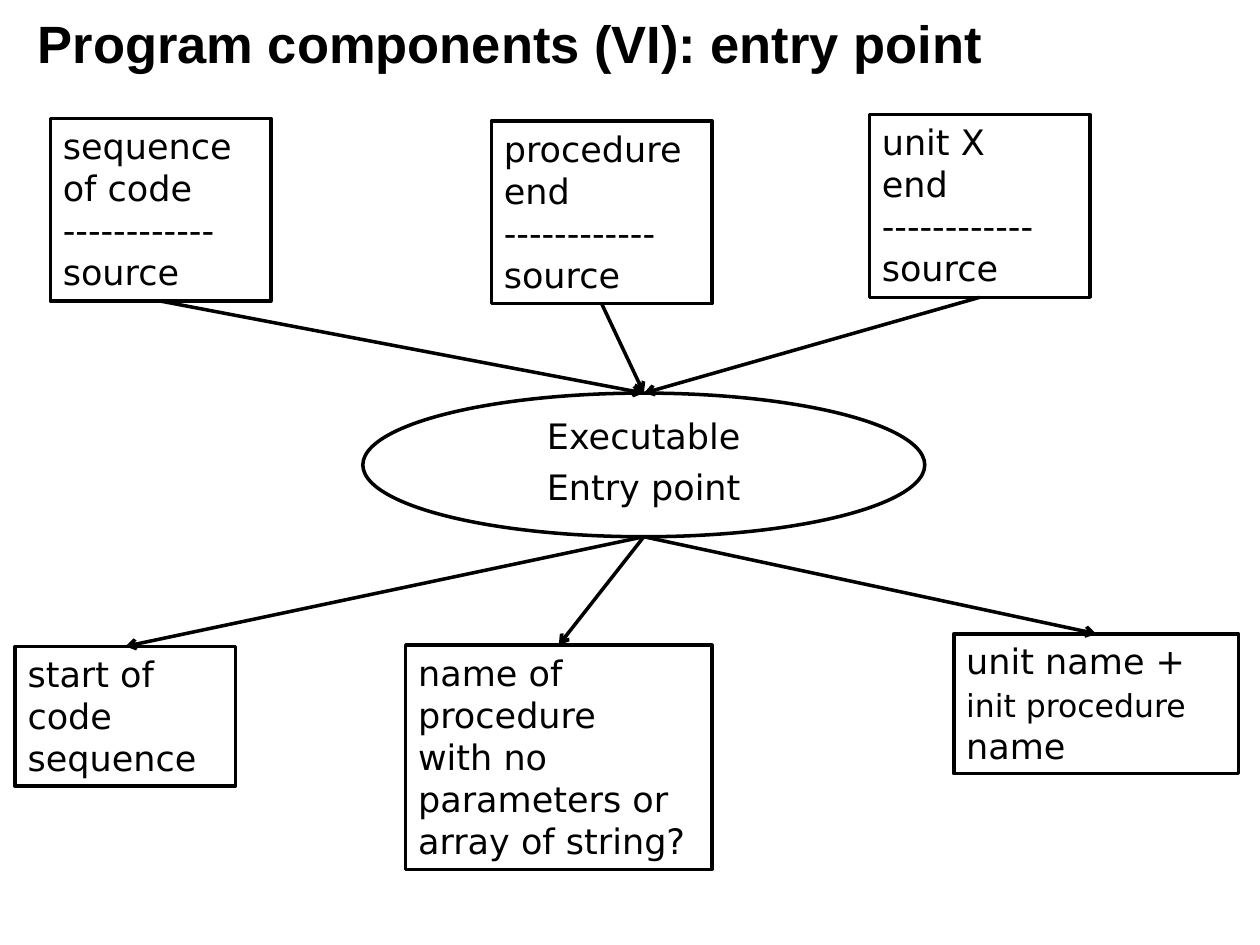
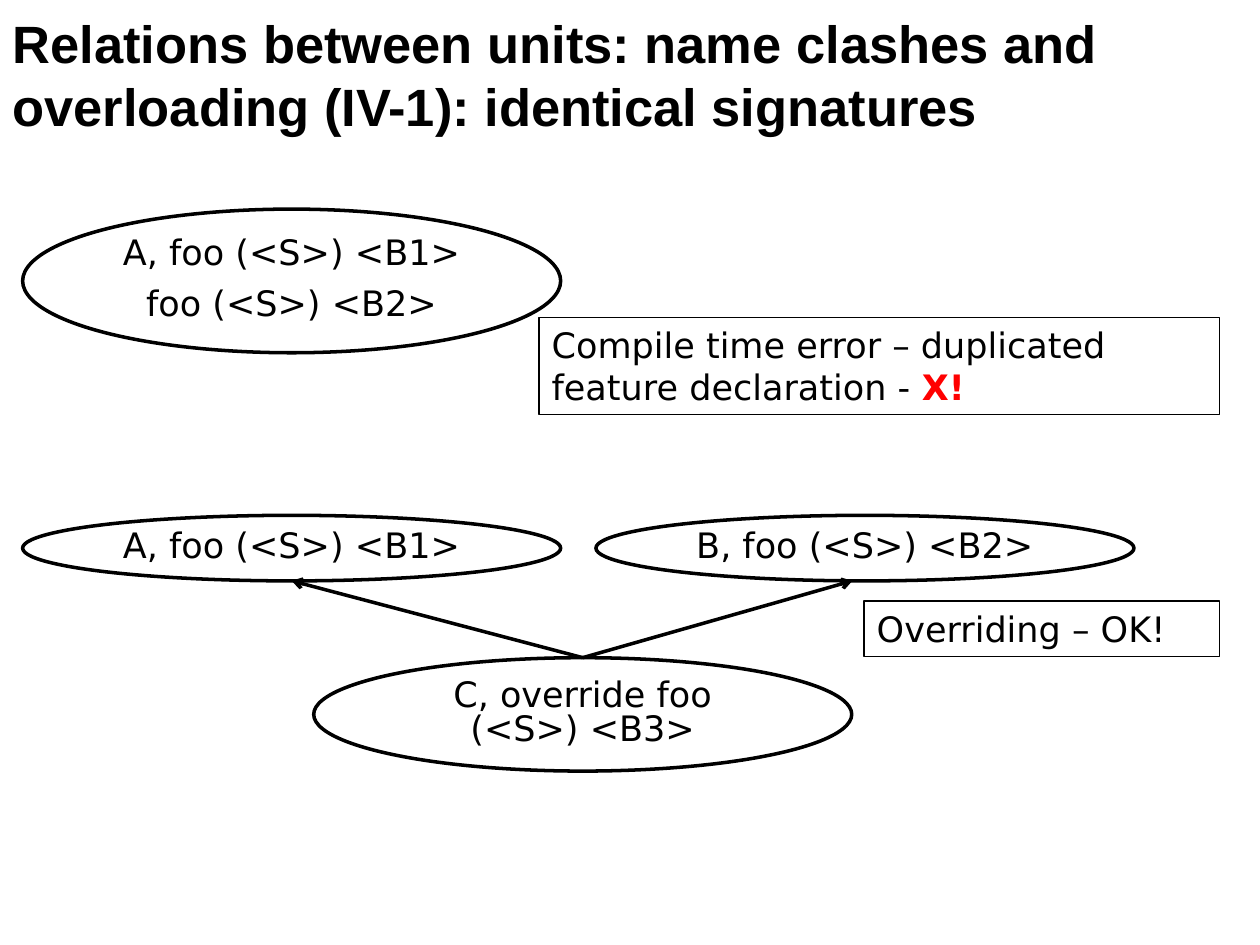
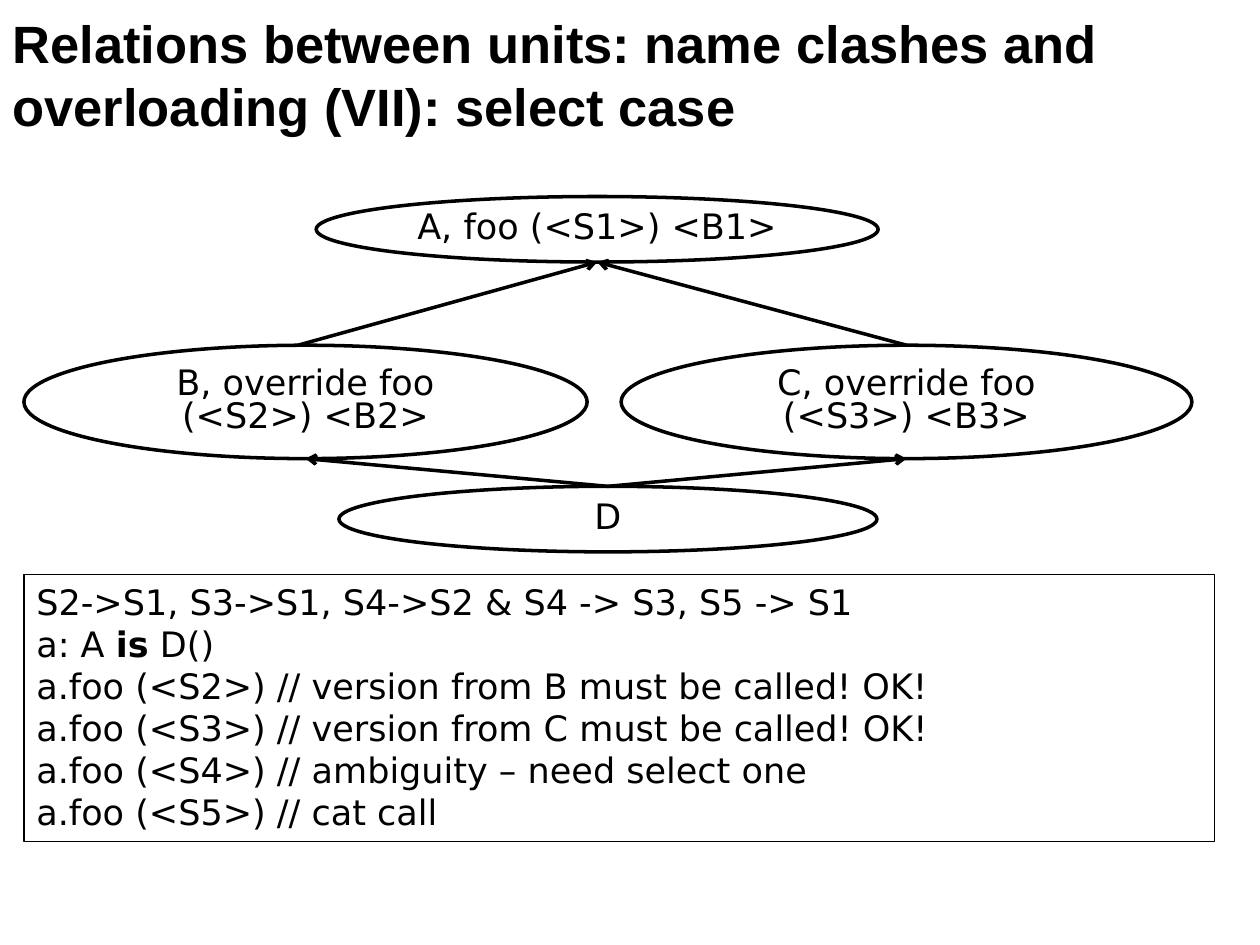
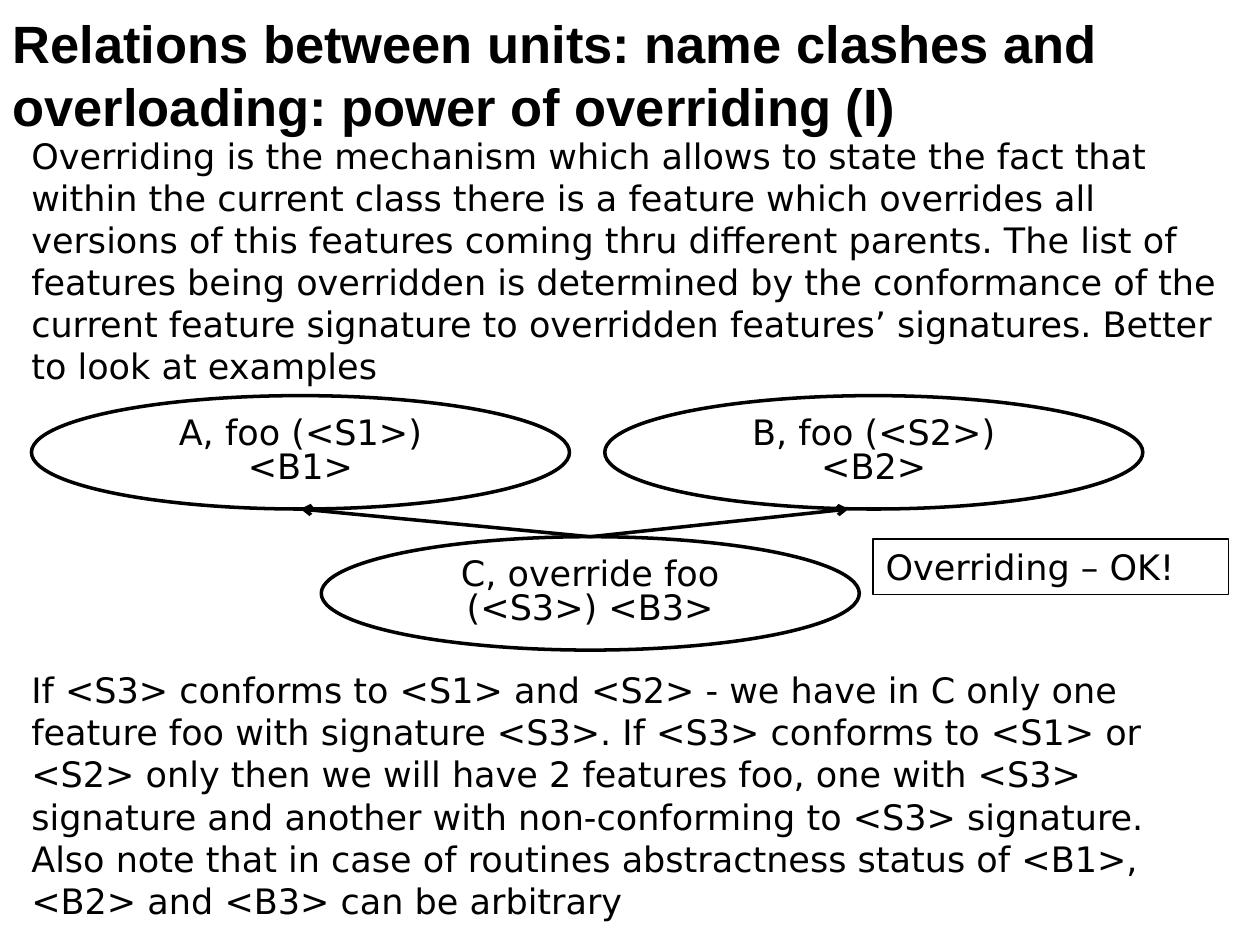
from dataclasses import dataclass

from lxml.etree import SubElement
from pptx import Presentation
from pptx.dml.color import RGBColor
from pptx.enum.shapes import MSO_CONNECTOR, MSO_SHAPE
from pptx.enum.text import MSO_ANCHOR, MSO_AUTO_SIZE, PP_ALIGN
from pptx.oxml.ns import qn
from pptx.util import Inches, Pt

# Shared style
BLACK = RGBColor(0x00, 0x00, 0x00)
RED = RGBColor(0xFF, 0x00, 0x00)
HEAD_FONT = "Arial"
BODY_FONT = "DejaVu Sans"
OVAL = MSO_SHAPE.OVAL
RECT = MSO_SHAPE.RECTANGLE
DASHES = "------------"
CLASHES = "Relations between units: name clashes and overloading"


@dataclass
class Node:
    """Outlined text; a bar in a line splits it into runs."""
    left: float
    top: float
    width: float
    height: float
    lines: tuple[str, ...]
    kind: int = OVAL
    weight: float = 2

    @property
    def mid(self) -> float:
        return self.left + self.width / 2

    @property
    def base(self) -> float:
        return self.top + self.height


@dataclass
class Link:
    """Arrow between facing edges, with optional sideways shifts."""
    start: Node
    end: Node
    from_dx: float = 0
    to_dx: float = 0


def add_slide(deck, title: str, left: float = 0, width: float = 10):
    slide = deck.slides.add_slide(deck.slide_layouts[5])
    head = slide.shapes.title
    head.left, head.top = Inches(left), Inches(0.01)
    head.width, head.height = Inches(width), Inches(0.61)
    frame = head.text_frame
    frame.text = title
    frame.word_wrap = True
    frame.auto_size = MSO_AUTO_SIZE.NONE
    frame.vertical_anchor = MSO_ANCHOR.TOP
    frame.margin_top = Inches(0.08)
    para = frame.paragraphs[0]
    para.alignment = PP_ALIGN.LEFT
    para.line_spacing = Pt(36)
    font = para.runs[0].font
    font.name, font.size, font.bold = HEAD_FONT, Pt(30), True
    font.color.rgb = BLACK
    return slide


def fill_text(frame, lines: tuple[str, ...], center: bool = False) -> None:
    frame.word_wrap = True
    frame.auto_size = MSO_AUTO_SIZE.SHAPE_TO_FIT_TEXT
    for num, line in enumerate(lines):
        para = frame.add_paragraph() if num else frame.paragraphs[0]
        for part in line.split("|"):
            run = para.add_run()
            run.text = part
            font = run.font
            font.name, font.size = BODY_FONT, Pt(20)
            font.color.rgb = BLACK
        para.alignment = PP_ALIGN.CENTER if center else PP_ALIGN.LEFT
        if center:
            para.line_spacing = 0.8
            para.space_before = Pt(10)


def add_node(slide, node: Node):
    shape = slide.shapes.add_shape(
        node.kind, Inches(node.left), Inches(node.top),
        Inches(node.width), Inches(node.height))
    shape.shadow.inherit = False
    shape.fill.background()
    shape.line.color.rgb = BLACK
    shape.line.width = Pt(node.weight)
    oval = node.kind == OVAL
    frame = shape.text_frame
    frame.vertical_anchor = MSO_ANCHOR.MIDDLE if oval else MSO_ANCHOR.TOP
    fill_text(frame, node.lines, oval)
    return shape


def add_link(slide, link: Link) -> None:
    start, end = link.start, link.end
    down = start.top < end.top
    y1, y2 = (start.base, end.top) if down else (start.top, end.base)
    arrow = slide.shapes.add_connector(
        MSO_CONNECTOR.STRAIGHT,
        Inches(start.mid + link.from_dx), Inches(y1),
        Inches(end.mid + link.to_dx), Inches(y2))
    arrow.line.color.rgb = BLACK
    arrow.line.width = Pt(2)
    props = arrow.element.spPr
    SubElement(props.find(qn("a:ln")), qn("a:tailEnd"), type="arrow")
    SubElement(props, qn("a:effectLst"))


def add_graph(slide, nodes: list[Node], links: list[Link]) -> list:
    shapes = [add_node(slide, node) for node in nodes]
    for link in links:
        add_link(slide, link)
    return shapes


def add_note(slide, top: float, text: str) -> None:
    box = slide.shapes.add_textbox(
        Inches(0.15), Inches(top), Inches(9.69), Inches(2.12))
    fill_text(box.text_frame, (text,))


def verdict(left: float, top: float) -> Node:
    return Node(left, top, 2.82, 0.44, ("Overriding – OK!",), RECT, 1)


# Slides
def entry_slide(deck) -> None:
    slide = add_slide(deck, "Program components (VI): entry point", 0.2, 9)
    hub = Node(2.88, 3.12, 4.46, 1.14, ("Executable", "Entry point"))
    sources = [
        Node(left, top, 1.75, 1.45, (*code, DASHES, "source"), RECT)
        for left, top, code in (
            (0.4, 0.94, ("sequence of code",)),
            (3.9, 0.96, ("procedure", "end")),
            (6.9, 0.91, ("unit X", "end")))]
    starts = [
        Node(0.12, 5.13, 1.75, 1.11, ("start of code sequence",), RECT),
        Node(3.22, 5.12, 2.43, 1.78,
             ("name of procedure", "with no parameters or array of string?"),
             RECT),
        Node(7.57, 5.03, 2.26, 1.11,
             ("unit name +", "init procedure| name"), RECT)]
    links = [Link(node, hub) for node in sources]
    links += [Link(hub, node) for node in starts]
    shapes = add_graph(slide, [hub, *sources, *starts], links)
    shapes[-1].text_frame.paragraphs[1].runs[0].font.size = Pt(18)


def same_slide(deck) -> None:
    slide = add_slide(deck, f"{CLASHES} (IV-1): identical signatures")
    twice = Node(0.18, 1.66, 4.27, 1.14,
                 ("A, foo (<S>) <B1>", "foo (<S>) <B2>"))
    error = Node(4.28, 2.52, 5.4, 0.77,
                 ("Compile time error – duplicated feature declaration - |X!",),
                 RECT, 1)
    shapes = add_graph(slide, [twice, error], [])
    mark = shapes[1].text_frame.paragraphs[0].runs[1].font
    mark.bold = True
    mark.color.rgb = RED

    first = Node(0.18, 4.09, 4.27, 0.52, ("A, foo (<S>) <B1>",))
    second = Node(4.73, 4.09, 4.27, 0.52, ("B, foo (<S>) <B2>",))
    heir = Node(2.49, 5.22, 4.27, 0.9, ("C, override foo (<S>) <B3>",))
    add_graph(slide, [first, second, heir, verdict(6.86, 4.77)],
              [Link(heir, first), Link(heir, second, to_dx=-0.1)])


def select_slide(deck) -> None:
    slide = add_slide(deck, f"{CLASHES} (VII): select case")
    root = Node(2.51, 1.56, 4.46, 0.52, ("A, foo (<S1>) <B1>",))
    left = Node(0.19, 2.74, 4.47, 0.9, ("B, override foo (<S2>) <B2>",))
    right = Node(4.93, 2.74, 4.53, 0.9, ("C, override foo (<S3>) <B3>",))
    heir = Node(2.69, 3.86, 4.27, 0.52, ("D",))
    calls = Node(0.19, 4.56, 9.45, 2.12, (
        "S2->S1, S3->S1, S4->S2 & S4 -> S3, S5 -> S1",
        "a: A |is| D()",
        "a.foo (<S2>) // version from B must be called! OK!",
        "a.foo (<S3>) // version from C must be called! OK!",
        "a.foo (<S4>) // ambiguity – need select one",
        "a.foo (<S5>) // cat call"), RECT, 1)
    shapes = add_graph(
        slide, [root, left, right, heir, calls],
        [Link(heir, left), Link(heir, right),
         Link(left, root, from_dx=-0.06), Link(right, root)])
    shapes[-1].text_frame.paragraphs[1].runs[1].font.bold = True


def power_slide(deck) -> None:
    slide = add_slide(deck, f"{CLASHES}: power of overriding (I)")
    add_note(slide, 1.02, (
        "Overriding is the mechanism which allows to state the fact that "
        "within the current class there is a feature which overrides all "
        "versions of this features coming thru different parents. The list "
        "of features being overridden is determined by the conformance of "
        "the current feature signature to overridden features’ signatures. "
        "Better to look at examples"))
    first = Node(0.25, 3.14, 4.27, 0.9, ("A, foo (<S1>) <B1>",))
    second = Node(4.8, 3.14, 4.27, 0.9, ("B, foo (<S2>) <B2>",))
    heir = Node(2.55, 4.26, 4.27, 0.9, ("C, override foo (<S3>) <B3>",))
    add_graph(slide, [first, second, heir, verdict(6.93, 4.28)],
              [Link(heir, first), Link(heir, second, to_dx=-0.2)])
    add_note(slide, 5.26, (
        "If <S3> conforms to <S1> and <S2> - we have in C only one feature "
        "foo with signature <S3>. If <S3> conforms to <S1> or <S2> only then "
        "we will have 2 features foo, one with <S3> signature and another "
        "with non-conforming to <S3> signature. Also note that in case of "
        "routines abstractness status of <B1>, <B2> and <B3> can be "
        "arbitrary"))


def main() -> None:
    deck = Presentation()
    deck.slide_width, deck.slide_height = Inches(10), Inches(7.5)
    for build in (entry_slide, same_slide, select_slide, power_slide):
        build(deck)
    deck.save("out.pptx")


if __name__ == "__main__":
    main()
